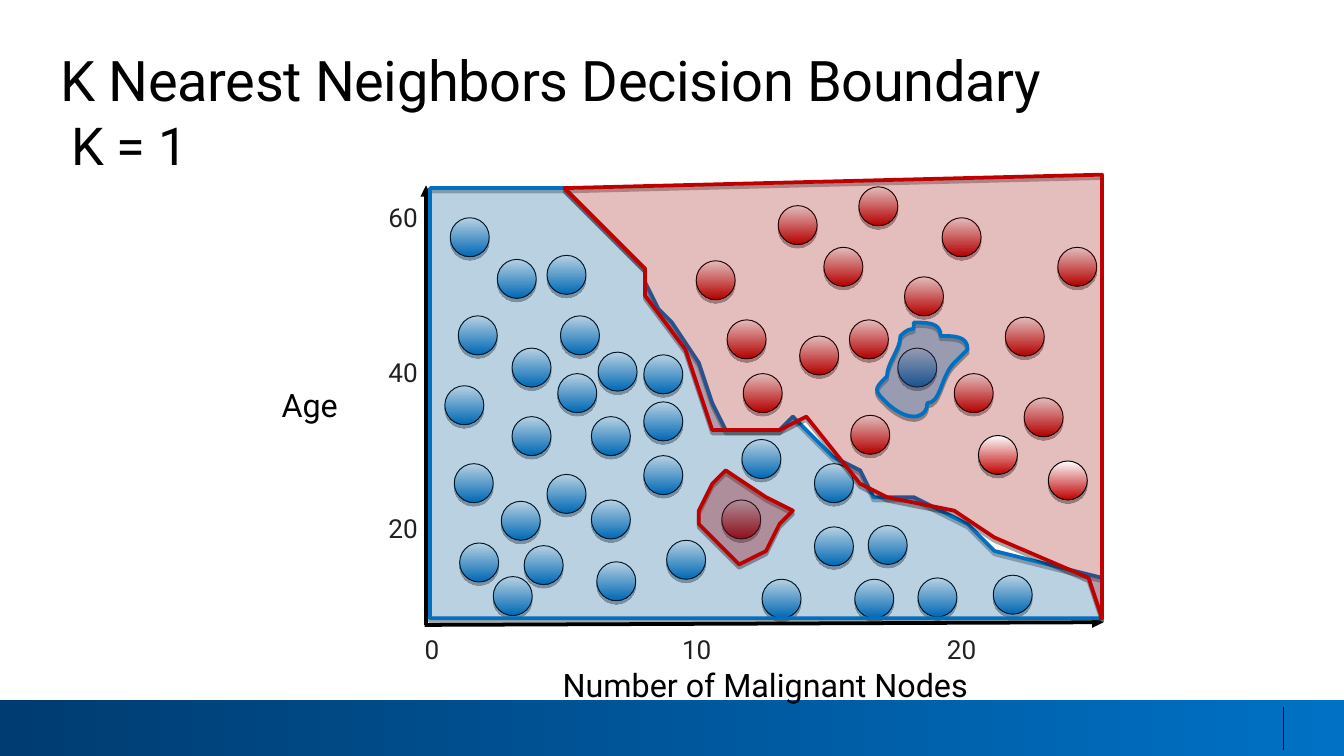
from pptx import Presentation
from pptx.dml.color import RGBColor
from pptx.enum.shapes import MSO_CONNECTOR as Connector, MSO_SHAPE as Shape
from pptx.enum.text import MSO_ANCHOR as Anchor, MSO_AUTO_SIZE as AutoSize, PP_ALIGN as Align
from pptx.oxml import parse_xml
from pptx.oxml.ns import nsdecls, qn
from pptx.oxml.xmlchemy import OxmlElement
from pptx.util import Inches, Pt

# Square grid: 100 columns across, 56.25 rows down
CELL = Inches(0.1)
COLUMNS, ROWS = 100, 56.25
DOT = 2.9

BLACK = RGBColor(0x00, 0x00, 0x00)
GREY = RGBColor(0x21, 0x21, 0x21)
WHITE = RGBColor(0xFE, 0xFF, 0xFF)
BLUE = RGBColor(0x00, 0x70, 0xC0)
RED = RGBColor(0xC0, 0x00, 0x00)
BAR_LIGHT = RGBColor(0x00, 0x71, 0xC5)
BAR_DARK = RGBColor(0x00, 0x3C, 0x71)


def write(frame, text, size=17.3, color=BLACK, align=Align.LEFT, anchor=Anchor.TOP,
          line_spacing=Pt(28.5), tracking=None):
    frame.word_wrap = True
    frame.auto_size = AutoSize.NONE
    frame.vertical_anchor = anchor
    frame.margin_left = Inches(0.01)
    frame.margin_right = frame.margin_top = frame.margin_bottom = 0
    paragraph = frame.paragraphs[0]
    paragraph.alignment = align
    paragraph.line_spacing = line_spacing
    run = paragraph.add_run()
    run.text = text
    run.font.name = "Roboto"
    run.font.size = Pt(size)
    run.font.color.rgb = color
    if tracking is not None:
        run.font._element.set("spc", str(tracking))


def decorate(shape, colors, angle=270, opacity=None, line=None, line_width=0.5):
    """Fill with a two-colour gradient or one translucent colour, then outline and shadow."""
    if opacity is None:
        shape.fill.gradient()
        shape.fill.gradient_angle = angle
        for stop, color in zip(shape.fill.gradient_stops, colors):
            stop.color.rgb = color
    else:
        shape.fill.solid()
        shape.fill.fore_color.rgb = colors[0]
        alpha = OxmlElement("a:alpha")
        alpha.set("val", str(opacity * 1000))
        shape._element.spPr.find(f"{qn('a:solidFill')}/{qn('a:srgbClr')}").append(alpha)
    if line is None:
        shape.line.fill.background()
    else:
        shape.line.color.rgb = line
        shape.line.width = Pt(line_width)
    shape.shadow.inherit = False
    shape._element.spPr.find(qn("a:effectLst")).append(parse_xml(
        f'<a:outerShdw {nsdecls("a")} dist="22860" dir="5400000" rotWithShape="0">'
        '<a:srgbClr val="000000"><a:alpha val="35000"/></a:srgbClr></a:outerShdw>'))


presentation = Presentation()
presentation.slide_width = int(COLUMNS * CELL)
presentation.slide_height = int(ROWS * CELL)
slide = presentation.slides.add_slide(presentation.slide_layouts[5])
shapes = slide.shapes

title = shapes.title
title.left, title.top, title.width, title.height = (
    int(n * CELL) for n in (4.4, 3.4, 92.3, 5))
write(title.text_frame, "K Nearest Neighbors Decision Boundary", size=30,
      line_spacing=1.0, tracking=-20)

# Footer bar
bar = shapes.add_shape(Shape.RECTANGLE, 0, int(52.1 * CELL), presentation.slide_width,
                       int(4.2 * CELL))
decorate(bar, (BAR_LIGHT, BAR_DARK), angle=180)

# Subtitle, axis names and tick labels
labels = [
    ("K = 1", (5.2, 9.1, 13.2, 4), dict(size=28, anchor=Anchor.MIDDLE)),
    ("Number of Malignant Nodes", (38.8, 48.4, 36.2, 4), dict(align=Align.CENTER)),
    ("Age", (19.2, 27.6, 7.6, 4), dict(align=Align.CENTER)),
]
tick = dict(size=14, color=GREY, anchor=Anchor.MIDDLE)
for index, (age, nodes) in enumerate(zip(("60", "40", "20"), ("0", "10", "20"))):
    labels.append((age, (28.6, 11.4 + 11.55 * index, 2.5, 7.9), dict(tick, align=Align.RIGHT)))
    labels.append((nodes, (30.6 + 19.7 * index, 45.5, 3, 3.9), dict(tick, align=Align.CENTER)))
for text, box, text_format in labels:
    label = shapes.add_textbox(*(int(n * CELL) for n in box))
    write(label.text_frame, text, **text_format)

# Axes and the footer divider
for x1, y1, x2, y2, width, arrow in [
    (95.5, 52.6, 95.5, 55.8, 0.75, False),
    (31.7, 46.5, 31.7, 13.8, 2, True),
    (31.6, 46.5, 82.1, 46.3, 2, True),
]:
    line = shapes.add_connector(Connector.STRAIGHT, *(int(n * CELL) for n in (x1, y1, x2, y2)))
    line.line.color.rgb = BLACK
    line.line.width = Pt(width)
    if arrow:
        head = OxmlElement("a:tailEnd")
        head.set("type", "triangle")
        line.line._get_or_add_ln().append(head)
    line._element.spPr.append(OxmlElement("a:effectLst"))

# Left and top of each dot, by class
blue_dots = [
    (41.5, 27.8), (44, 37.2), (36.7, 42.9), (47.9, 29.9), (44.5, 26.2), (68.3, 43),
    (64.6, 39.1), (73.9, 42.8), (34.1, 23.5), (33.5, 16.2), (38.1, 25.9), (33.8, 34.5),
    (37.3, 37.3), (40.7, 19), (33.1, 28.7), (37, 19.3), (47.9, 33.9), (44, 31),
    (47.9, 26.4), (55.2, 32.7), (60.6, 34.5), (66.8, 25.9), (60.6, 39.2), (56.7, 43.1),
    (63.6, 43.1), (49.6, 40.2), (44.4, 41.8), (39, 40.6), (34.2, 40.4), (40.7, 35.3),
    (38.1, 31), (41.7, 23.5),
]
red_dots = [
    (53.7, 37.2), (63.3, 30.9), (55.3, 27.8), (54.1, 23.8), (51.8, 19.4), (57.9, 15.3),
    (61.3, 18.4), (63.2, 23.8), (59.5, 25), (67.3, 20.6), (63.9, 13.9), (70.1, 16.2),
    (78.7, 18.4), (74.8, 23.6), (71, 27.8), (76.2, 29.6),
]
front_red_dots = [(72.8, 32.4), (78, 34.3)]

# Decision regions: colour, opacity, curved or straight, outline
regions = [
    (BLUE, 21, False, [
        (31.9, 14.2), (31.8, 46.5), (81.6, 46.5), (81.6, 43.1), (74.3, 40.6), (72.2, 38.9),
        (70.5, 37.9), (68, 37.3), (65.1, 36.6), (63.6, 35.4), (62, 33.9), (60.5, 32.3),
        (59.4, 31), (57.6, 31.8), (53.8, 31.6), (52.7, 29.8), (51.9, 26.8), (50.4, 24.5),
        (49, 22.9), (48.1, 21.4), (47.7, 19.7), (46.3, 18), (44, 15.5), (42.3, 13.9),
        (31.6, 14.1)]),
    (RED, 20, False, [
        (42.2, 13.7), (47.6, 19.5), (48.2, 21.6), (51.4, 26), (52.4, 29.1), (53.2, 31.6),
        (58, 31.8), (59.5, 31), (63.9, 36), (65.6, 36.7), (71, 38.3), (73.9, 40.4),
        (81.3, 43.3), (81.9, 46.3), (81.5, 13.2)]),
    (RED, 25, False, [
        (54.2, 35.4), (57.1, 36.6), (58.9, 37.6), (58.5, 39.3), (57.1, 41.1), (55.4, 41.9),
        (53.6, 41.3), (52.2, 39.3), (51.8, 37.6), (53.2, 35.8)]),
    (BLUE, 26, True, [
        (65.6, 27.9), (65.8, 27.1), (66.7, 25.5), (67.1, 24.9), (67.6, 24.4), (67.6, 24.6),
        (68.1, 24.5), (68.6, 24.5), (69.7, 24.5), (70.3, 24.7), (70.9, 24.9), (71.7, 25.3),
        (71.8, 25.7), (71.9, 26.2), (71.3, 26.6), (70.9, 27.3), (70.4, 28), (69.8, 29.5),
        (69.3, 30), (68.8, 30.6), (68.5, 30.9), (67.9, 30.8), (67.3, 30.8), (66.2, 30.1),
        (65.8, 29.7), (65.3, 29.2), (65.3, 28.7), (65.6, 27.9)]),
]

# Back to front: dots, regions, then the dots that lie on top
for dots, color, covering_regions in [
    (blue_dots, BLUE, []),
    (red_dots, RED, regions),
    (front_red_dots, RED, []),
]:
    for left, top in dots:
        dot = shapes.add_shape(Shape.OVAL, *(int(n * CELL) for n in (left, top, DOT, DOT)))
        decorate(dot, (WHITE, color), line=BLACK)
    for region_color, opacity, curved, outline in covering_regions:
        builder = shapes.build_freeform(*outline[0], scale=CELL)
        builder.add_line_segments(outline[1:], close=True)
        region = builder.convert_to_shape()
        decorate(region, (region_color,), opacity=opacity, line=region_color, line_width=2)
        if curved:
            # Every three straight segments become one Bézier segment
            segments = region._element.xpath(".//a:lnTo")
            for start in range(0, len(segments) - 2, 3):
                curve = OxmlElement("a:cubicBezTo")
                segments[start].addprevious(curve)
                for segment in segments[start:start + 3]:
                    curve.append(segment[0])
                    segment.getparent().remove(segment)

presentation.save("out.pptx")
